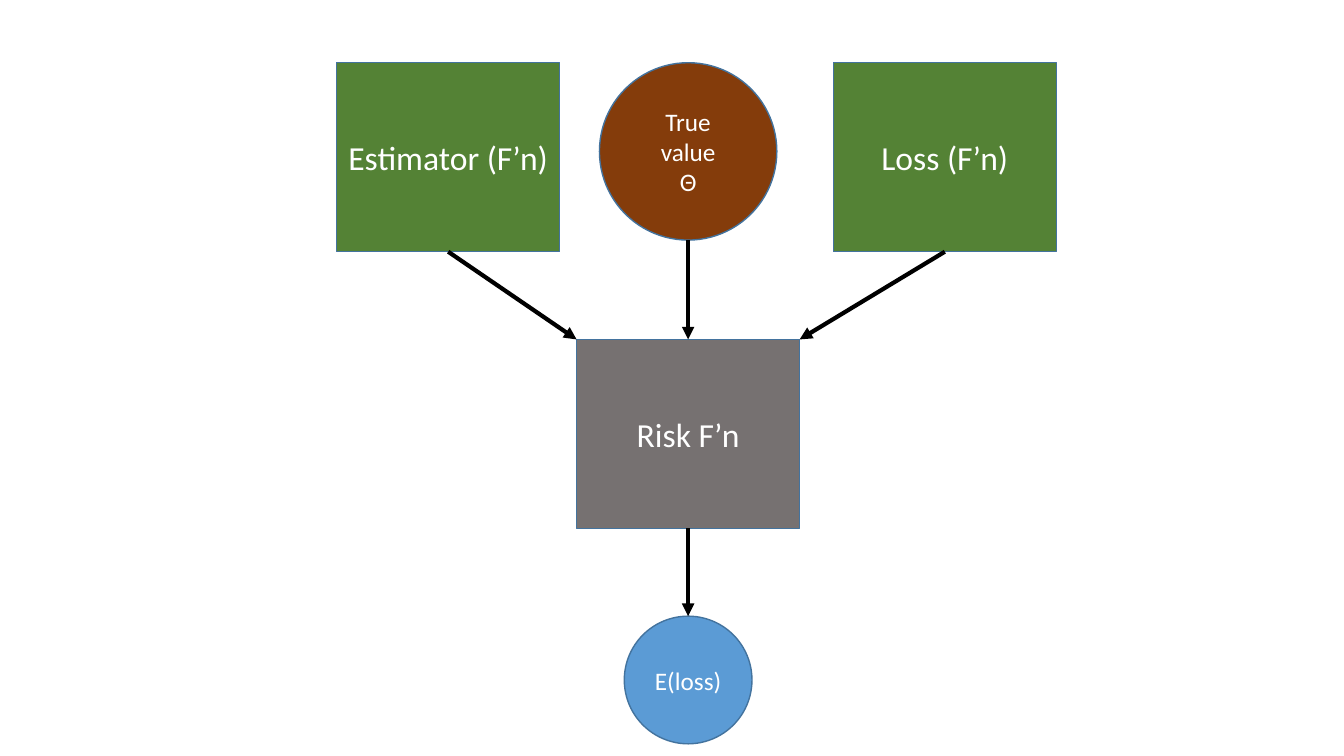
import pptx
import pptx.dml.color
import pptx.enum.shapes
import pptx.enum.text
import pptx.util
from lxml import etree

RECTANGLE = pptx.enum.shapes.MSO_SHAPE.RECTANGLE
OVAL = pptx.enum.shapes.MSO_SHAPE.OVAL


def color(hex_string):
    return pptx.dml.color.RGBColor.from_string(hex_string)


class Diagram:
    """Holds the style and slide; lengths are percentages of the slide's size."""

    font = "Calibri"
    text_color = "FFFFFF"
    outline = "43739E"
    arrow_color = "000000"

    def __init__(self, presentation):
        self.width = presentation.slide_width
        self.height = presentation.slide_height
        self.slide = presentation.slides.add_slide(presentation.slide_layouts[6])

    def node(self, kind, lines, center, top, width, fill, size, height=None):
        """Add a labelled shape centred on a column; without a height it is as tall as wide."""
        shape_width = round(self.width * width / 100)
        shape_height = round(self.height * height / 100) if height else shape_width
        left = round(self.width * center / 100 - shape_width / 2)
        shape = self.slide.shapes.add_shape(
            kind, left, round(self.height * top / 100), shape_width, shape_height)
        shape.shadow.inherit = False
        shape.fill.solid()
        shape.fill.fore_color.rgb = color(fill)
        shape.line.color.rgb = color(self.outline)
        shape.line.width = pptx.util.Pt(1)

        frame = shape.text_frame
        frame.word_wrap = True
        frame.vertical_anchor = pptx.enum.text.MSO_ANCHOR.MIDDLE
        frame.text = "\n".join(lines)
        for paragraph in frame.paragraphs:
            paragraph.alignment = pptx.enum.text.PP_ALIGN.CENTER
            paragraph.font.name = self.font
            paragraph.font.size = pptx.util.Pt(size)
            paragraph.font.color.rgb = color(self.text_color)
        return shape

    def box(self, label, center, top, fill):
        return self.node(RECTANGLE, [label], center, top, 16.6, fill, 24, height=25)

    def circle(self, lines, center, top, diameter, fill):
        return self.node(OVAL, lines, center, top, diameter, fill, 18)

    def arrow(self, source, target, landing=0.5):
        """Point from the source's bottom centre to a share of the target's top edge."""
        connector = self.slide.shapes.add_connector(
            pptx.enum.shapes.MSO_CONNECTOR.STRAIGHT,
            source.left + source.width // 2, source.top + source.height,
            target.left + round(target.width * landing), target.top)
        connector.line.color.rgb = color(self.arrow_color)
        connector.line.width = pptx.util.Pt(3)
        line = connector.line._get_or_add_ln()
        etree.SubElement(line, pptx.oxml.ns.qn("a:tailEnd"), type="triangle")
        etree.SubElement(connector._element.spPr, pptx.oxml.ns.qn("a:effectLst"))


def main():
    presentation = pptx.Presentation()
    presentation.slide_width = pptx.util.Inches(13.33)
    presentation.slide_height = pptx.util.Inches(7.5)
    diagram = Diagram(presentation)

    # Grid: three columns (centres) and three rows (tops)
    left, middle, right = 33.35, 51.2, 70.3
    inputs, risk_row, result = 8.3, 44.9, 81.5

    # Inputs of the risk function
    estimator = diagram.box("Estimator (F’n)", left, inputs, "548235")
    true_value = diagram.circle(["True value", "Θ"], middle, inputs, 13.2, "843C0B")
    loss = diagram.box("Loss (F’n)", right, inputs, "548235")

    # Risk function and its result
    risk = diagram.box("Risk F’n", middle, risk_row, "767171")
    expected_loss = diagram.circle(["E(loss)"], middle, result, 9.5, "5B9BD5")

    # Flow: outer inputs land on the corners of the risk box
    diagram.arrow(estimator, risk, landing=0)
    diagram.arrow(true_value, risk)
    diagram.arrow(loss, risk, landing=1)
    diagram.arrow(risk, expected_loss)

    presentation.save("out.pptx")


if __name__ == "__main__":
    main()
